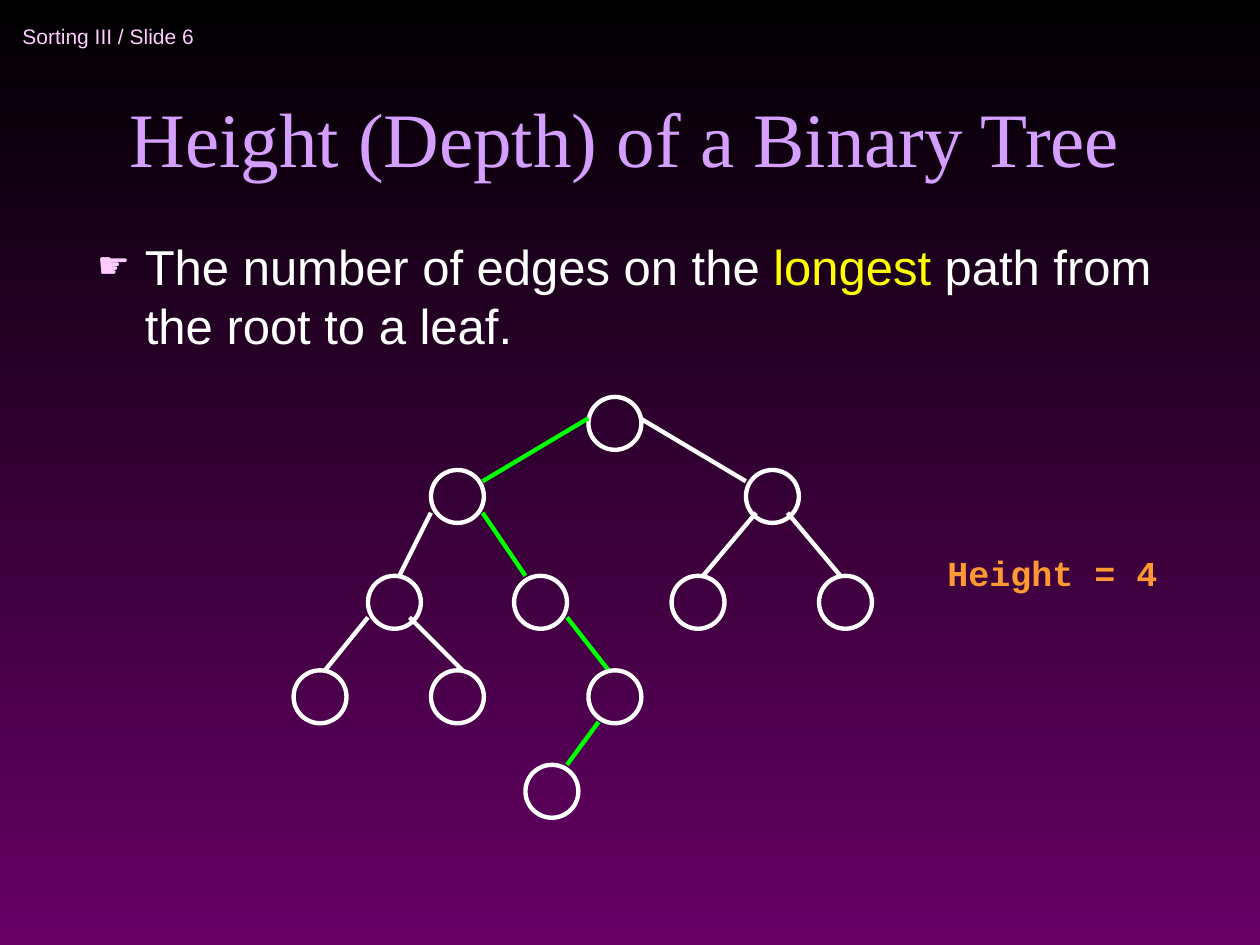
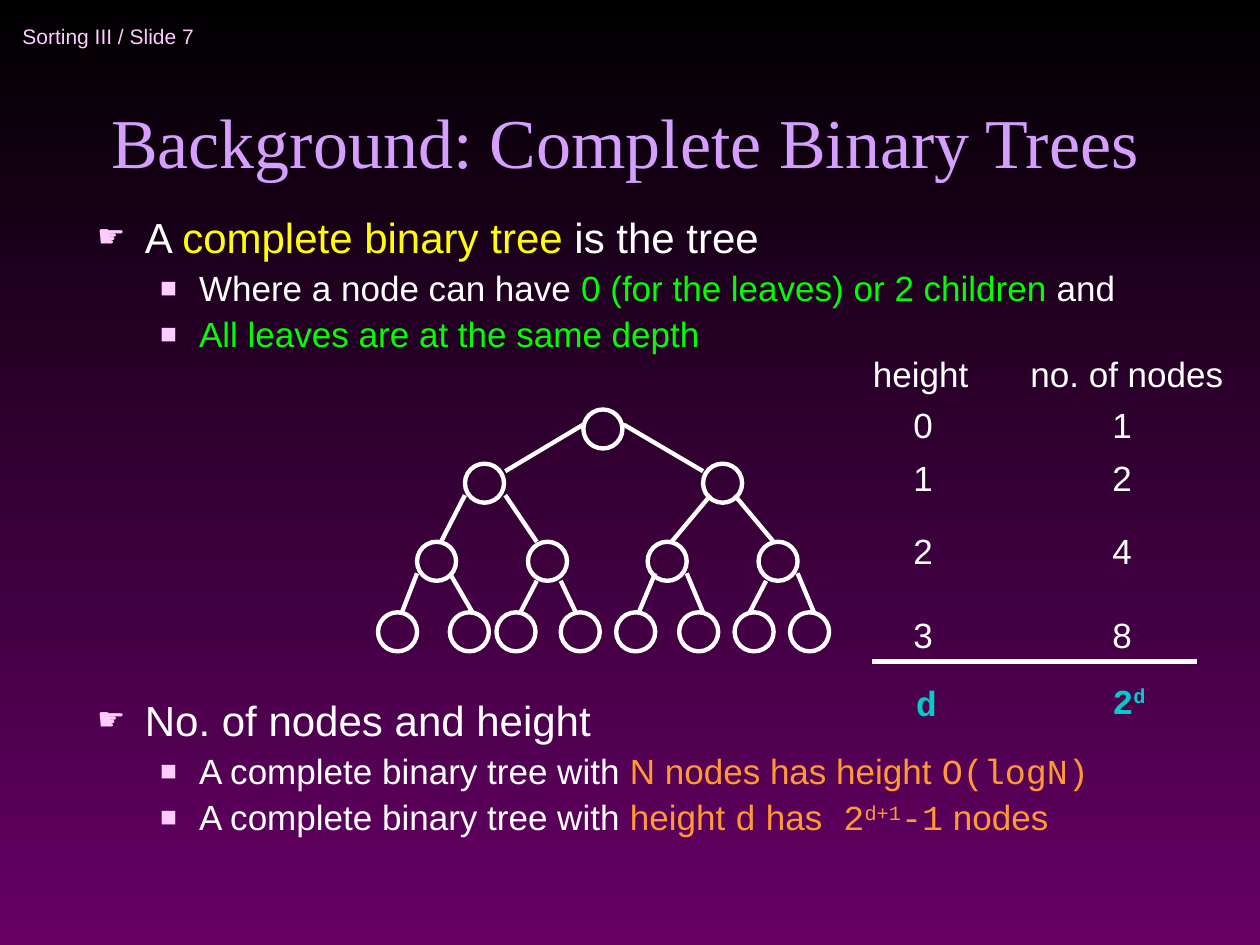
from lxml.etree import SubElement
from pptx import Presentation
from pptx.dml.color import RGBColor
from pptx.enum.shapes import MSO_CONNECTOR, MSO_SHAPE
from pptx.enum.text import MSO_ANCHOR as Anchor, MSO_AUTO_SIZE as AutoSize, PP_ALIGN as Align
from pptx.oxml.ns import qn
from pptx.util import Inches, Pt

hex_color = RGBColor.from_string

WHITE, PINK, LILAC = "FFFFFF", "FFCCFF", "D49FFF"
YELLOW, GREEN, ORANGE, TEAL = "FFFF00", "00FF00", "FF9933", "00CCCC"
SANS, SERIF, MONO = "Arial", "Times New Roman", "Courier New"

# Per list level: bullet, bullet size, left margin, indent
BULLETS = [("☛", 75, 0.38, -0.38), ("■", 80, 0.81, -0.31)]


def write(paragraph, runs, size, **defaults):
    """Add (text, overrides) runs; "raised" makes a superscript."""
    for text, overrides in runs:
        look = {"name": SANS, "color": WHITE, "bold": False, **defaults, **overrides}
        run = paragraph.add_run()
        run.text = text
        run.font.size = Pt(size)
        run.font.color.rgb = hex_color(look.pop("color"))
        if look.pop("raised", False):
            run._r.get_or_add_rPr().set("baseline", "30000")
        for attribute, value in look.items():
            setattr(run.font, attribute, value)


def add_line(shapes, x1, y1, x2, y2, color=WHITE):
    line = shapes.add_connector(MSO_CONNECTOR.STRAIGHT,
                                Inches(x1), Inches(y1), Inches(x2), Inches(y2))
    line.line.color.rgb = hex_color(color)
    line.line.width = Pt(2.5)
    SubElement(line._element.spPr, qn("a:effectLst"))


# Body paragraphs: level, size, space before, runs
height_points = [
    (0, 28, 0, [("The number of edges on the ", {}), ("longest", {"color": YELLOW}),
                (" path from the root to a leaf.", {})]),
]
in_orange = {"color": ORANGE}
in_code = {"color": ORANGE, "name": MONO}
complete_points = [
    (0, 24, 0, [("A ", {}), ("complete binary tree", {"color": YELLOW}),
                (" is the tree", {})]),
    (1, 20, 5, [("Where a node can have ", {}),
                ("0 (for the leaves) or 2 children", {"color": GREEN}), (" and", {})]),
    (1, 20, 5, [("All leaves are at the same depth", {"color": GREEN})]),
    (0, 24, 197, [("No. of nodes and height", {})]),
    (1, 20, 5, [("A complete binary tree with ", {}),
                ("N nodes has height ", in_orange), ("O(logN)", in_code)]),
    (1, 20, 5, [("A complete binary tree with ", {}), ("height ", in_orange),
                ("d", in_code), (" has", in_orange), (" 2", in_code),
                ("d+1", {**in_code, "raised": True}), ("-1", in_code),
                (" nodes", in_orange)]),
]

# Tree levels: node top, node lefts, edge top and bottom, edge x pairs
uneven_tree = [
    (3.15, [4.67], (3.32, 3.82), [(4.67, 3.83), (5.08, 5.92)]),
    (3.73, [3.42, 5.92], (4.07, 4.57),
     [(3.42, 3.17), (3.83, 4.17), (6, 5.58), (6.25, 6.67)]),
    (4.57, [2.92, 4.08, 5.33, 6.5], (4.9, 5.32),
     [(2.92, 2.58), (3.25, 3.67), (4.5, 4.83)]),
    (5.32, [2.33, 3.42, 4.67], (5.73, 6.07), [(4.75, 4.5)]),
    (6.07, [4.17], (0, 0), []),
]
longest_path = [(4.67, 3.83), (3.83, 4.17), (4.5, 4.83), (4.75, 4.5)]
complete_tree = [
    (3.25, [4.63], (3.37, 3.74), [(4.63, 4.01), (4.95, 5.58)]),
    (3.68, [3.69, 5.58], (3.93, 4.3),
     [(3.69, 3.5), (4.01, 4.26), (5.64, 5.33), (5.83, 6.14)]),
    (4.3, [3.31, 4.19, 5.14, 6.02], (4.55, 4.86),
     [(3.31, 3.19), (3.57, 3.75), (5.2, 5.07), (5.45, 5.58), (6.33, 6.46)]),
    (4.86, [3, 3.57, 3.94, 4.45, 4.89, 5.39, 5.83, 6.27], (4.61, 4.86),
     [(4.26, 4.13), (4.45, 4.57), (6.08, 5.95)]),
]

# Labels: left, top, width, runs
formula = {"name": MONO, "color": TEAL, "bold": True}
height_labels = [
    (7.42, 4.33, 1.87, [("Height = 4", {"name": MONO, "color": ORANGE, "bold": True})]),
]
count_labels = [
    (6.83, 2.75, 0.96, [("height", {})]),
    (8.08, 2.75, 1.73, [("no. of nodes", {})]),
    (7.17, 5.36, 0.36, [("d", formula)]),
    (8.73, 5.34, 0.5, [("2", formula), ("d", {**formula, "raised": True})]),
]
for height, top in enumerate([3.15, 3.57, 4.15, 4.82]):
    count_labels += [(7.15, top, 0.35, [(str(height), {})]),
                     (8.73, top, 0.35, [(str(2 ** height), {})])]

# Slides: number, title, title size, body top, line spacing, points, tree, node size, labels
slides = [
    (6, "Height (Depth) of a Binary Tree", 44, 1.83, 1.0,
     height_points, uneven_tree, 0.42, height_labels),
    (7, "Background: Complete Binary Trees", 40, 1.67, 0.9,
     complete_points, complete_tree, 0.31, count_labels),
]

prs = Presentation()
prs.slide_width, prs.slide_height = Inches(10), Inches(7.5)

backdrop = prs.slide_master.background.fill
backdrop.gradient()
backdrop.gradient_angle = 270
for stop, color, position in zip(backdrop.gradient_stops, ["000000", "660066"], [0, 1]):
    stop.color.rgb = hex_color(color)
    stop.position = position

for number, heading, heading_size, body_top, spacing, points, tree, node_size, labels in slides:
    slide = prs.slides.add_slide(prs.slide_layouts[1])
    title, body = slide.shapes.title, slide.placeholders[1]

    for holder, top, height, anchor in [(title, 0.25, 1.25, Anchor.BOTTOM),
                                        (body, body_top, 5.25, Anchor.TOP)]:
        holder.left, holder.top = Inches(0.67), Inches(top)
        holder.width, holder.height = Inches(8.58), Inches(height)
        holder.text_frame.auto_size = AutoSize.NONE
        holder.text_frame.vertical_anchor = anchor

    title_line = title.text_frame.paragraphs[0]
    title_line.alignment = Align.CENTER
    write(title_line, [(heading, {})], heading_size, name=SERIF, color=LILAC)

    for index, (level, size, before, runs) in enumerate(points):
        frame = body.text_frame
        point = frame.add_paragraph() if index else frame.paragraphs[0]
        mark, mark_size, margin, indent = BULLETS[level]
        point.level = level
        props = point._p.get_or_add_pPr()
        props.set("marL", str(Inches(margin)))
        props.set("indent", str(Inches(indent)))
        SubElement(SubElement(props, qn("a:buClr")), qn("a:srgbClr"), val=PINK)
        SubElement(props, qn("a:buSzPct"), val=str(mark_size * 1000))
        SubElement(props, qn("a:buChar"), char=mark)
        point.line_spacing = spacing
        point.space_before = Pt(before)
        write(point, runs, size)

    header = (0.08, 0.08, 2.75, [(f"Sorting III / Slide {number}", {"color": PINK})])
    for left, top, width, runs in [header, *labels]:
        is_header = runs is header[3]
        label = slide.shapes.add_textbox(Inches(left), Inches(top), Inches(width),
                                         Inches(0.42 if is_header else 0.44))
        label.text_frame.word_wrap = False
        label.text_frame.auto_size = AutoSize.NONE if is_header else AutoSize.SHAPE_TO_FIT_TEXT
        label.text_frame.vertical_anchor = Anchor.MIDDLE if is_header else Anchor.TOP
        write(label.text_frame.paragraphs[0], runs, 12 if is_header else 20)

    drawing = slide.shapes.add_group_shape().shapes
    for node_top, node_lefts, (edge_top, edge_bottom), edges in tree:
        for left in node_lefts:
            node = drawing.add_shape(MSO_SHAPE.OVAL, Inches(left), Inches(node_top),
                                     Inches(node_size), Inches(node_size))
            node.shadow.inherit = False
            node.fill.background()
            node.line.color.rgb = hex_color(WHITE)
            node.line.width = Pt(2.5)
        for edge in edges:
            on_path = tree is uneven_tree and edge in longest_path
            add_line(drawing, edge[0], edge_top, edge[1], edge_bottom,
                     GREEN if on_path else WHITE)

    if tree is complete_tree:
        add_line(slide.shapes, 6.92, 5.25, 9.5, 5.25)

prs.save("out.pptx")
